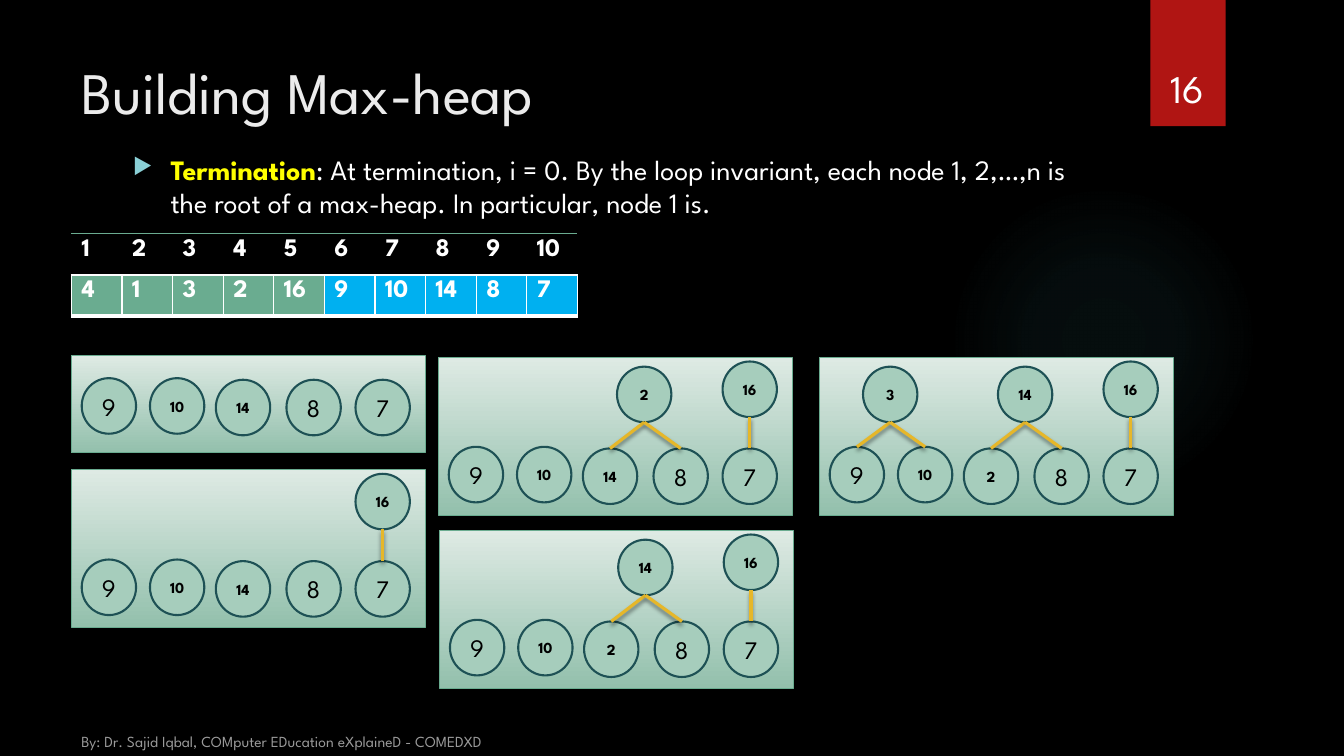
from lxml import etree
from pptx import Presentation
from pptx.dml.color import RGBColor
from pptx.enum.shapes import MSO_CONNECTOR as Connector, MSO_SHAPE as Shape
from pptx.enum.text import MSO_ANCHOR as Anchor, PP_ALIGN as Align
from pptx.oxml import parse_xml
from pptx.oxml.ns import nsdecls, qn
from pptx.util import Cm, Pt

FONT = "League Spartan"
BLACK = RGBColor(0x00, 0x00, 0x00)
WHITE = RGBColor(0xFF, 0xFF, 0xFF)
TITLE_GREY = RGBColor(0xEB, 0xEB, 0xEB)
FOOTER_GREY = RGBColor(0x99, 0x99, 0x99)
YELLOW = RGBColor(0xFF, 0xFF, 0x00)
RED = RGBColor(0xB0, 0x15, 0x13)
AQUA = RGBColor(0x8A, 0xD0, 0xD6)
GLOW = RGBColor(0x50, 0xB9, 0xC1)
GREEN = RGBColor(0x6A, 0xAC, 0x90)
BLUE = RGBColor(0x00, 0xB0, 0xF0)
PANEL_TOP = RGBColor(0xDE, 0xEA, 0xE4)
PANEL_BOTTOM = RGBColor(0x93, 0xC0, 0xAC)
NODE_FILL = RGBColor(0xA6, 0xCD, 0xBC)
NODE_LINE = RGBColor(0x1E, 0x51, 0x55)
EDGE = RGBColor(0xE6, 0xB7, 0x29)

NODE_WIDTH, NODE_HEIGHT = 1.37, 1.4
LEAF_SLOTS = [(0.26, 0), (1.98, 0), (3.64, 0.04), (5.42, 0.04), (7.16, 0.04)]
SMALL_LEAVES = (1, 2)
# Each parent: left and top in its panel, and the leaves below it
PARENT_SLOTS = {
    "left": (1.1, 0.23, (0, 1)),
    "middle": (4.5, 0.23, (2, 3)),
    "right": (7.16, 0.1, (4,)),
}
PANEL_WIDTH = 8.92
# Left, top, height, top of the leaves, leaf values, parent values
PANELS = [
    (1.8, 8.96, 2.45, 0.57, "9 10 14 8 7", {}),
    (1.8, 11.84, 3.97, 2.26, "9 10 14 8 7", {"right": "16"}),
    (11.05, 9.01, 3.97, 2.25, "9 10 14 8 7", {"right": "16", "middle": "2"}),
    (11.08, 13.37, 3.97, 2.25, "9 10 2 8 7", {"right": "16", "middle": "14"}),
    (20.65, 9.01, 3.97, 2.25, "9 10 2 8 7",
     {"right": "16", "middle": "14", "left": "3"}),
]


def write(paragraph, text, size=18, color=WHITE, bold=False, align=None):
    run = paragraph.add_run()
    run.text = text
    run.font.name = FONT
    run.font.size = Pt(size)
    run.font.bold = bold
    run.font.color.rgb = color
    if align is not None:
        paragraph.alignment = align


def add_text_box(slide, left, top, width, height, anchor=Anchor.TOP):
    """Add an empty wrapping box and return its first paragraph."""
    box = slide.shapes.add_textbox(Cm(left), Cm(top), Cm(width), Cm(height))
    frame = box.text_frame
    frame.word_wrap = True
    frame.vertical_anchor = anchor
    return frame.paragraphs[0]


def add_shape(shapes, kind, left, top, width, height):
    shape = shapes.add_shape(kind, Cm(left), Cm(top), Cm(width), Cm(height))
    shape.shadow.inherit = False
    return shape


def add_shadow(shape):
    properties = shape._element.spPr
    effects = properties.find(qn("a:effectLst"))
    if effects is None:
        effects = etree.SubElement(properties, qn("a:effectLst"))
    effects.append(parse_xml(
        f'<a:outerShdw {nsdecls("a")} blurRad="38100" dist="25400" dir="5400000" '
        'rotWithShape="0"><a:srgbClr val="000000"><a:alpha val="45000"/>'
        '</a:srgbClr></a:outerShdw>'))


def add_glow(slide, left, top, size):
    glow = add_shape(slide.shapes, Shape.OVAL, left, top, size, size)
    glow.line.fill.background()
    glow.fill.background()
    stops = "".join(
        f'<a:gs pos="{position}000"><a:srgbClr val="{GLOW}">'
        f'<a:alpha val="{alpha}000"/></a:srgbClr></a:gs>'
        for position, alpha in ((0, 7), (36, 6), (69, 0)))
    gradient = parse_xml(
        f'<a:gradFill {nsdecls("a")}><a:gsLst>{stops}</a:gsLst><a:path path="circle">'
        '<a:fillToRect l="50000" t="50000" r="50000" b="50000"/></a:path></a:gradFill>')
    properties = glow._element.spPr
    properties.replace(properties.find(qn("a:noFill")), gradient)


def add_number_banner(slide, left, top, width, height):
    banner = add_shape(slide.shapes, Shape.RECTANGLE, left, top, width, height)
    banner.fill.solid()
    banner.fill.fore_color.rgb = RED
    banner.line.fill.background()
    add_shadow(banner)
    paragraph = add_text_box(slide, left - 0.23, top + 0.81, 2.34, 2.13, Anchor.BOTTOM)
    write(paragraph, "16", size=28, align=Align.CENTER)


def add_body(slide, left, top, width, height):
    paragraph = add_text_box(slide, left, top, width, height)
    properties = paragraph._p.get_or_add_pPr()
    properties.set("marL", str(Cm(0.95)))
    properties.set("indent", str(Cm(-0.95)))
    for bullet in (f'<a:buClr {nsdecls("a")}><a:srgbClr val="{AQUA}"/></a:buClr>',
                   f'<a:buSzPct {nsdecls("a")} val="80000"/>',
                   f'<a:buChar {nsdecls("a")} char="▶"/>'):
        properties.append(parse_xml(bullet))
    write(paragraph, "Termination", size=20, color=YELLOW, bold=True)
    write(paragraph, ": At termination, i = 0. By the loop invariant, each node "
          "1, 2,…,n is the root of a max-heap. In particular, node 1 is.", size=20)


def set_borders(cell, borders):
    """Set the left, right, top and bottom borders, each (colour, points) or None."""
    properties = cell._tc.get_or_add_tcPr()
    for index, (side, border) in enumerate(zip("LRTB", borders)):
        color, points = border or (None, 0)
        fill = (f'<a:solidFill><a:srgbClr val="{color}"/></a:solidFill>'
                if border else "<a:noFill/>")
        properties.insert(index, parse_xml(
            f'<a:ln{side} {nsdecls("a")} w="{Pt(points)}">{fill}</a:ln{side}>'))


def add_row_table(slide, left, top, width, height, values, fills, borders):
    table = slide.shapes.add_table(
        1, len(values), Cm(left), Cm(top), Cm(width), Cm(height)).table
    table.first_row = table.horz_banding = False
    for cell, value, fill in zip(table.rows[0].cells, values, fills):
        write(cell.text_frame.paragraphs[0], value, bold=True)
        if fill is None:
            cell.fill.background()
        else:
            cell.fill.solid()
            cell.fill.fore_color.rgb = fill
        set_borders(cell, borders)


def add_array(slide, left, top, width, row_height):
    indexes = [str(number) for number in range(1, 11)]
    add_row_table(slide, left, top, width, row_height, indexes, [None] * 10,
                  [None, None, (GREEN, 1), (GREEN, 1)])
    add_row_table(slide, left, top + row_height, width, row_height,
                  "4 1 3 2 16 9 10 14 8 7".split(), [GREEN] * 5 + [BLUE] * 5,
                  [(WHITE, 1), (WHITE, 1), (WHITE, 1), (WHITE, 3)])


def add_node(shapes, left, top, value, small=True):
    node = add_shape(shapes, Shape.OVAL, left, top, NODE_WIDTH, NODE_HEIGHT)
    node.fill.solid()
    node.fill.fore_color.rgb = NODE_FILL
    node.line.color.rgb = NODE_LINE
    node.line.width = Pt(1.5)
    frame = node.text_frame
    frame.word_wrap = False
    frame.margin_left = frame.margin_right = 0
    frame.vertical_anchor = Anchor.MIDDLE
    write(frame.paragraphs[0], value, size=11 if small else 18, color=BLACK,
          bold=small, align=Align.CENTER)


def add_edge(shapes, parent, child):
    """Join the bottom of the parent to the top of the child."""
    edge = shapes.add_connector(
        Connector.STRAIGHT,
        Cm(parent[0] + NODE_WIDTH / 2), Cm(parent[1] + NODE_HEIGHT),
        Cm(child[0] + NODE_WIDTH / 2), Cm(child[1]))
    edge.line.color.rgb = EDGE
    edge.line.width = Pt(2.25)
    add_shadow(edge)


def add_heap_panel(slide, left, top, height, leaf_top, leaves, parents):
    shapes = slide.shapes.add_group_shape().shapes
    panel = add_shape(shapes, Shape.RECTANGLE, left, top, PANEL_WIDTH, height)
    panel.fill.gradient()
    panel.fill.gradient_angle = 270
    for stop, color, position in zip(
            panel.fill.gradient_stops, (PANEL_TOP, PANEL_BOTTOM), (0, 1)):
        stop.color.rgb = color
        stop.position = position
    panel.line.color.rgb = GREEN
    panel.line.width = Pt(0.75)

    places = [(left + x, top + leaf_top + drop) for x, drop in LEAF_SLOTS]
    for index, (place, value) in enumerate(zip(places, leaves.split())):
        add_node(shapes, *place, value, small=index in SMALL_LEAVES)
    for slot, value in parents.items():
        x, y, children = PARENT_SLOTS[slot]
        parent = (left + x, top + y)
        add_node(shapes, *parent, value)
        for child in children:
            add_edge(shapes, parent, places[child])


def main():
    presentation = Presentation()
    presentation.slide_width, presentation.slide_height = Cm(33.87), Cm(19.05)
    slide = presentation.slides.add_slide(presentation.slide_layouts[6])
    slide.background.fill.solid()
    slide.background.fill.fore_color.rgb = BLACK

    add_glow(slide, 23.9, 4.65, 7.82)
    add_number_banner(slide, 28.99, 0, 1.9, 3.18)
    write(add_text_box(slide, 1.8, 1.27, 26.14, 3.89), "Building Max-heap",
          size=42, color=TITLE_GREY)
    add_body(slide, 3.1, 3.71, 24.84, 2.1)
    add_array(slide, 1.8, 5.89, 12.75, 1.04)
    for panel in PANELS:
        add_heap_panel(slide, *panel)
    write(add_text_box(slide, 1.8, 18.21, 10.8, 0.84, Anchor.BOTTOM),
          "By: Dr. Sajid Iqbal, COMputer EDucation eXplaineD - COMEDXD",
          size=11, color=FOOTER_GREY)
    presentation.save("out.pptx")


if __name__ == "__main__":
    main()
